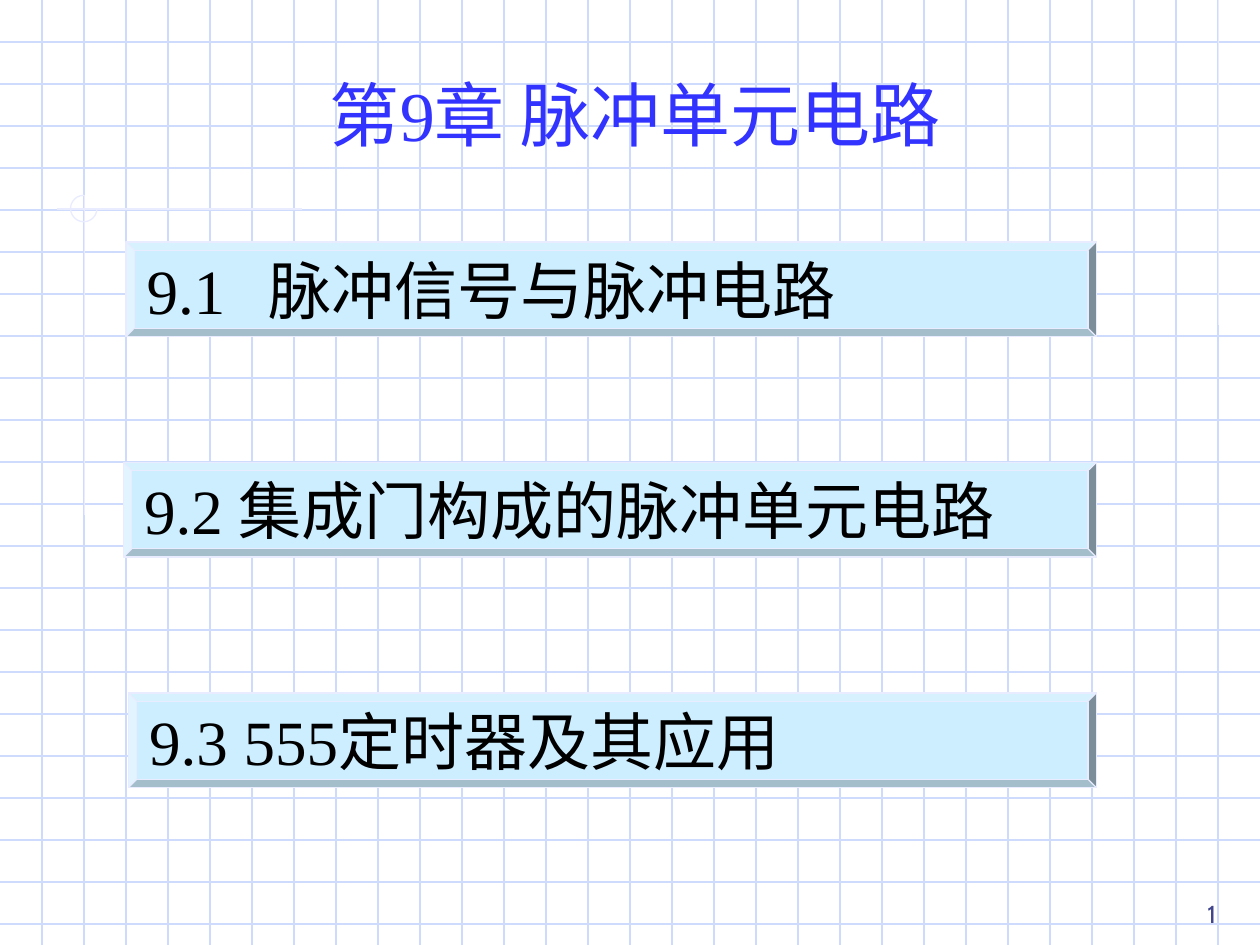
from lxml import etree
from pptx import Presentation
from pptx.dml.color import RGBColor
from pptx.enum import shapes, text
from pptx.oxml import ns
from pptx.util import Inches, Pt

COLORS = {
    "grid": "CFDBFD",
    "accent": "E8ECFE",
    "panel": "CDEEFF",
    "title": "3333FF",
    "ink": "000000",
    "number": "40458C",
}
LATIN = "Times New Roman"
CHINESE = "Noto Sans CJK SC"
WIDTH, HEIGHT = 10, 7.5
CELLS_PER_INCH = 3
PANEL_RIGHT, PANEL_HEIGHT = 8.7, 0.75
SECTIONS = [
    (1, 1.92, "9.1\t脉冲信号与脉冲电路"),
    (0.98, 3.67, "9.2 集成门构成的脉冲单元电路"),
    (1.02, 5.5, "9.3 555定时器及其应用"),
]


def color(name):
    return RGBColor.from_string(COLORS[name])


def write(frame, words, *, size, ink, font=LATIN, align=text.PP_ALIGN.LEFT,
          anchor=text.MSO_ANCHOR.MIDDLE, tab=None):
    frame.word_wrap = True
    frame.vertical_anchor = anchor
    paragraph = frame.paragraphs[0]
    paragraph.alignment = align
    if tab:
        tabs = etree.SubElement(paragraph._p.get_or_add_pPr(), ns.qn("a:tabLst"))
        etree.SubElement(tabs, ns.qn("a:tab"), pos=str(Inches(tab)), algn="l")
    run = paragraph.add_run()
    run.text = words
    run.font.size = Pt(size)
    run.font.name = font
    run.font.color.rgb = color(ink)
    east_asian = etree.Element(ns.qn("a:ea"), typeface=CHINESE)
    run.font._element.find(ns.qn("a:latin")).addnext(east_asian)


def add_line(slide, x1, y1, x2, y2, ink):
    line = slide.shapes.add_connector(
        shapes.MSO_CONNECTOR.STRAIGHT, Inches(x1), Inches(y1), Inches(x2), Inches(y2))
    line.line.color.rgb = color(ink)
    line.line.width = Pt(0.75)
    etree.SubElement(line._element.spPr, ns.qn("a:effectLst"))


def add_grid(slide):
    for row in range(1, int(HEIGHT * CELLS_PER_INCH) + 1):
        y = row / CELLS_PER_INCH
        add_line(slide, 0, y, WIDTH, y, "grid")
    for column in range(1, WIDTH * CELLS_PER_INCH):
        x = column / CELLS_PER_INCH
        add_line(slide, x, 0, x, HEIGHT, "grid")


def add_ornament(slide):
    add_line(slide, 9.67, 0, 9.67, 2.58, "accent")
    add_line(slide, 2.4, 1.66, 0.45, 1.66, "accent")
    add_line(slide, 0.67, 1.55, 0.67, 4.09, "accent")
    ring = slide.shapes.add_shape(
        shapes.MSO_SHAPE.ARC, Inches(0.56), Inches(1.55), Inches(0.21), Inches(0.21))
    ring.adjustments[0] = 0
    ring.adjustments[1] = 270 * 60000 / 100000
    ring.fill.background()
    ring.line.color.rgb = color("accent")
    ring.line.width = Pt(0.75)
    ring.shadow.inherit = False


def add_title(slide, words):
    title = slide.shapes.title
    title.left, title.top = Inches(1.3), Inches(0.52)
    title.width, title.height = Inches(7.36), Inches(0.77)
    write(title.text_frame, words, size=40, ink="title",
          align=text.PP_ALIGN.CENTER, anchor=text.MSO_ANCHOR.TOP)
    title.text_frame.auto_size = text.MSO_AUTO_SIZE.SHAPE_TO_FIT_TEXT
    title.text_frame.margin_left = Inches(0.22)
    title.element.getparent().append(title.element)


def add_section(slide, left, top, words):
    panel = slide.shapes.add_shape(
        shapes.MSO_SHAPE.BEVEL, Inches(left), Inches(top),
        Inches(PANEL_RIGHT - left), Inches(PANEL_HEIGHT))
    panel.adjustments[0] = 0.0875
    panel.fill.solid()
    panel.fill.fore_color.rgb = color("panel")
    panel.line.color.rgb = color("accent")
    panel.line.width = Pt(0.75)
    panel.shadow.inherit = False
    write(panel.text_frame, words, size=36, ink="ink",
          tab=0.97 if "\t" in words else None)


def add_page_number(slide, number):
    page = slide.shapes.add_textbox(Inches(7.67), Inches(6.92), Inches(2.08), Inches(0.5))
    write(page.text_frame, number, size=14, ink="number", font="Cabin",
          align=text.PP_ALIGN.RIGHT, anchor=text.MSO_ANCHOR.BOTTOM)


def main():
    deck = Presentation()
    deck.slide_width, deck.slide_height = Inches(WIDTH), Inches(HEIGHT)
    slide = deck.slides.add_slide(deck.slide_layouts[5])
    add_grid(slide)
    add_ornament(slide)
    add_title(slide, "第9章 脉冲单元电路")
    for left, top, words in SECTIONS:
        add_section(slide, left, top, words)
    add_page_number(slide, "1")
    deck.save("out.pptx")


if __name__ == "__main__":
    main()
